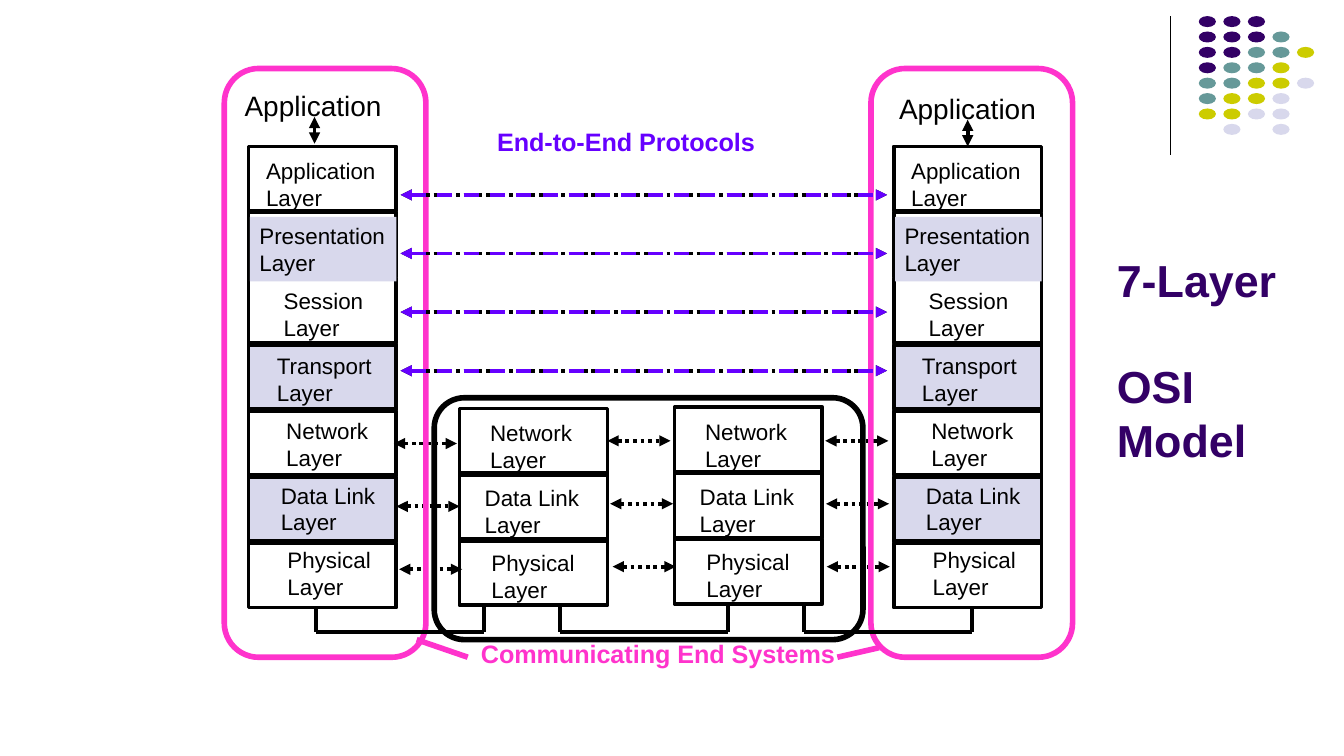
"""Build the slide on the seven-layer OSI model."""
import pptx
import pptx.util
import pptx.dml.color
import pptx.enum.dml
import pptx.enum.shapes
import pptx.enum.text
import pptx.oxml
import pptx.oxml.ns

Pt = pptx.util.Pt
RGBColor = pptx.dml.color.RGBColor
SHAPE = pptx.enum.shapes.MSO_SHAPE
DASH = pptx.enum.dml.MSO_LINE

BLACK = RGBColor(0x00, 0x00, 0x00)
PURPLE = RGBColor(0x33, 0x00, 0x66)
TEAL = RGBColor(0x66, 0x99, 0x99)
YELLOW = RGBColor(0xCC, 0xCC, 0x00)
LAVENDER = RGBColor(0xD8, 0xD8, 0xEC)
PINK = RGBColor(0xFF, 0x33, 0xCC)
VIOLET = RGBColor(0x66, 0x00, 0xFF)

DOT_COLOURS = {"P": PURPLE, "T": TEAL, "Y": YELLOW, "L": LAVENDER}
DOT_ROWS = ["PPP", "PPPT", "PPTTY", "PTTY", "TTYYL", "TYYL", "YYLL", " L L"]

# name, label offset from the box, label width
LAYERS = [
    ("Application", 4.3, 69.8),
    ("Presentation", 0.7, 78.5),
    ("Session", 13.7, 54),
    ("Transport", 10.1, 61.9),
    ("Network", 15.1, 55.4),
    ("Data Link", 12.2, 61.9),
    ("Physical", 15.8, 55.4),
]
SHADED = ("Transport", "Data Link")
BOX_WIDTH, BOX_HEIGHT, BOX_PITCH, LABEL_PITCH = 79.2, 34.56, 35.4, 34.75


def add_run(paragraph, text, size, colour, bold=False):
    """Append one formatted run to a paragraph."""
    run = paragraph.add_run()
    run.text = text
    run.font.name = "Arial"
    run.font.size = Pt(size)
    run.font.bold = bold
    run.font.color.rgb = colour


def add_outline(slide, kind, left, top, width, height, fill=None, line=None, weight=2):
    """Add a preset shape with optional fill and outline."""
    shape = slide.shapes.add_shape(kind, Pt(left), Pt(top), Pt(width), Pt(height))
    shape.shadow.inherit = False
    if fill is None:
        shape.fill.background()
    else:
        shape.fill.solid()
        shape.fill.fore_color.rgb = fill
    if line is None:
        shape.line.fill.background()
    else:
        shape.line.color.rgb = line
        shape.line.width = Pt(weight)
    return shape


def write_label(shape, lines, size, colour=BLACK, bold=False, insets=(5.04, 2.88)):
    """Write unwrapped, left-aligned lines into a shape."""
    frame = shape.text_frame
    frame.word_wrap = False
    frame.auto_size = pptx.enum.text.MSO_AUTO_SIZE.SHAPE_TO_FIT_TEXT
    frame.vertical_anchor = pptx.enum.text.MSO_ANCHOR.TOP
    frame.margin_left = frame.margin_right = Pt(insets[0])
    frame.margin_top = frame.margin_bottom = Pt(insets[1])
    for index, text in enumerate(lines):
        paragraph = frame.add_paragraph() if index else frame.paragraphs[0]
        paragraph.alignment = pptx.enum.text.PP_ALIGN.LEFT
        add_run(paragraph, text, size, colour, bold)


def add_label(slide, left, top, width, height, lines, size, **style):
    """Add a text box with a label."""
    box = slide.shapes.add_textbox(Pt(left), Pt(top), Pt(width), Pt(height))
    write_label(box, lines, size, **style)


def add_line(slide, x1, y1, x2, y2, colour=BLACK, weight=2.0, dash=None, arrows=False):
    """Add a straight connector, with arrowheads at both ends if asked."""
    line = slide.shapes.add_connector(
        pptx.enum.shapes.MSO_CONNECTOR.STRAIGHT, Pt(x1), Pt(y1), Pt(x2), Pt(y2))
    line.line.color.rgb = colour
    line.line.width = Pt(weight)
    if dash is not None:
        line.line.dash_style = dash
    properties = line._element.spPr
    if arrows:
        stroke = properties.find(pptx.oxml.ns.qn("a:ln"))
        for end in ("headEnd", "tailEnd"):
            stroke.append(pptx.oxml.parse_xml(
                f'<a:{end} {pptx.oxml.ns.nsdecls("a")} type="triangle"/>'))
    properties.append(pptx.oxml.parse_xml(
        f'<a:effectLst {pptx.oxml.ns.nsdecls("a")}/>'))
    return line


def add_stack(slide, left, top, layers, label_shift=0, shaded=()):
    """Add a stack of protocol layers and return its boxes."""
    boxes = [
        add_outline(slide, SHAPE.RECTANGLE, left, top + i * BOX_PITCH, BOX_WIDTH,
                    BOX_HEIGHT, LAVENDER if name in shaded else None, BLACK)
        for i, (name, _, _) in enumerate(layers)
    ]
    for i, (name, offset, width) in enumerate(layers):
        place = (left + offset + label_shift, top + 2.9 + i * LABEL_PITCH,
                 width, BOX_HEIGHT)
        if name == "Presentation":
            band = add_outline(slide, SHAPE.RECTANGLE, *place, fill=LAVENDER)
            write_label(band, [name, "Layer"], 12)
        else:
            add_label(slide, *place, [name, "Layer"], 12)
    return boxes


def add_corner_decoration(slide):
    """Add the vertical rule and the grid of dots."""
    add_line(slide, 627.1, 8.64, 627.1, 82.8, weight=0.75)
    for row, dots in enumerate(DOT_ROWS):
        for column, key in enumerate(dots):
            if key in DOT_COLOURS:
                add_outline(slide, SHAPE.OVAL, 642.2 + 13.15 * column,
                            8.64 + 8.25 * row, 9.2, 5.9, DOT_COLOURS[key])


def set_title(slide):
    """Place and format the title."""
    title = slide.shapes.title
    title.left, title.top, title.width, title.height = Pt(591.1), Pt(147.6), Pt(104.4), Pt(105.8)
    frame = title.text_frame
    frame.word_wrap = True
    frame.auto_size = pptx.enum.text.MSO_AUTO_SIZE.NONE
    frame.vertical_anchor = pptx.enum.text.MSO_ANCHOR.BOTTOM
    for index, text in enumerate(["7-Layer", "OSI", "Model"]):
        paragraph = frame.add_paragraph() if index else frame.paragraphs[0]
        paragraph.alignment = pptx.enum.text.PP_ALIGN.LEFT
        paragraph.space_before = Pt(28 if text == "OSI" else 0)
        add_run(paragraph, text, 24, PURPLE, True)


def add_hops(slide, left, top, drift):
    """Add the dotted links between two neighbouring lower stacks."""
    return [
        add_line(slide, left + drift * i, top + 33.7 * i, left + drift * i + 33.8,
                 top + 33.7 * i, dash=DASH.ROUND_DOT, arrows=True)
        for i in range(3)
    ]


def add_wire(slide, left):
    """Add the physical wire joining two stacks from below."""
    right, top, bottom = left + 90, 324.7, 338.4
    for ends in ((left, top, left, bottom), (left, bottom, right, bottom),
                 (right, top, right, bottom)):
        add_line(slide, *ends, weight=2.25)


def main():
    """Build and save the presentation."""
    deck = pptx.Presentation()
    deck.slide_width, deck.slide_height = Pt(720), Pt(405)
    slide = deck.slides.add_slide(deck.slide_layouts[5])
    set_title(slide)
    add_corner_decoration(slide)

    add_stack(slide, 133.2, 78.5, LAYERS, shaded=SHADED)
    receiver = add_stack(slide, 478.8, 78.5, LAYERS, shaded=SHADED)
    near_relay = add_stack(slide, 246.24, 218.9, LAYERS[4:], -3.8)
    add_stack(slide, 361.4, 218.2, LAYERS[4:], -3.8)

    for left, top in ((126, 44.6), (476.6, 46.1)):
        add_label(slide, left, top, 85, 23.8, ["Application"], 15)
    add_line(slide, 168.5, 62.6, 168.5, 77, arrows=True)
    receiver_access = add_line(slide, 518.4, 64.1, 518.4, 78.5, arrows=True)
    receiver_access.end_connect(receiver[0], 0)

    network = add_outline(slide, SHAPE.ROUNDED_RECTANGLE, 232.6, 213.1, 229.7, 129.6,
                          line=BLACK, weight=3)
    network.adjustments[0] = 0.125
    add_hops(slide, 211, 237.6, 1.4)
    relay_hops = add_hops(slide, 325.44, 236.18, 1.4)
    relay_hops[0].begin_connect(near_relay[0], 3)
    add_hops(slide, 442.1, 236.2, 0.4)

    for left in (120.2, 466.6):
        end_system = add_outline(slide, SHAPE.ROUNDED_RECTANGLE, left, 36.7, 108, 315.4,
                                 line=PINK, weight=3)
        end_system.adjustments[0] = 0.17
    for colour, dash in ((BLACK, DASH.ROUND_DOT), (VIOLET, DASH.DASH)):
        for i in range(4):
            level = 104.4 + 31.4 * i
            add_line(slide, 214.6, level, 475.2, level, colour, dash=dash, arrows=True)

    add_label(slide, 250.6, 338.4, 206.6, 23.8, ["Communicating End Systems"], 13.5,
              colour=PINK, bold=True, insets=(7.2, 3.6))
    add_line(slide, 223.2, 342.7, 250.6, 352.1, PINK, 3)
    add_line(slide, 470.9, 347, 448.6, 352.1, PINK, 3)
    add_label(slide, 259.2, 64.1, 154.8, 23.8, ["End-to-End Protocols"], 13.5,
              colour=VIOLET, bold=True, insets=(7.2, 3.6))
    for left in (169.2, 300.2, 430.6):
        add_wire(slide, left)
    deck.save("out.pptx")


if __name__ == "__main__":
    main()
